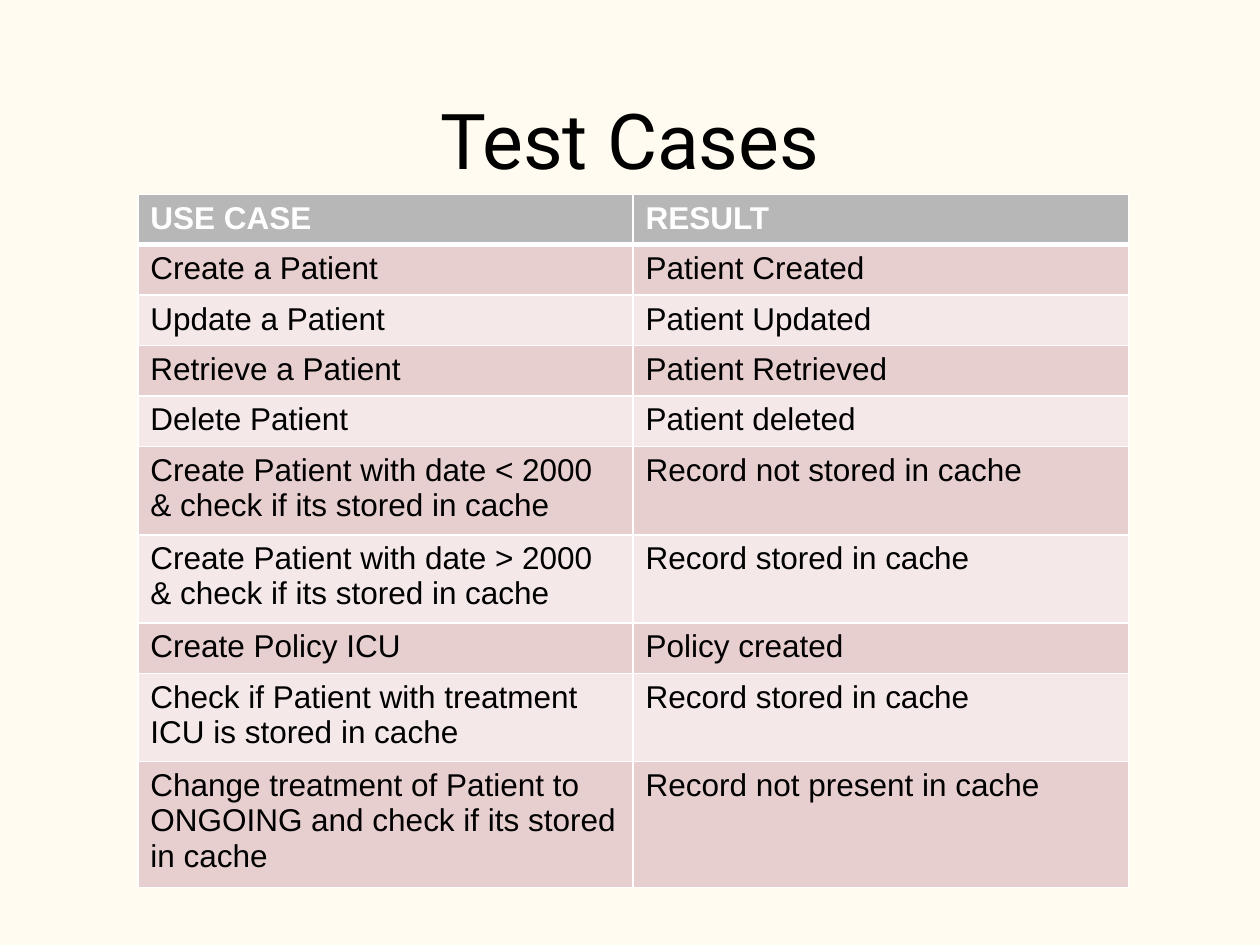
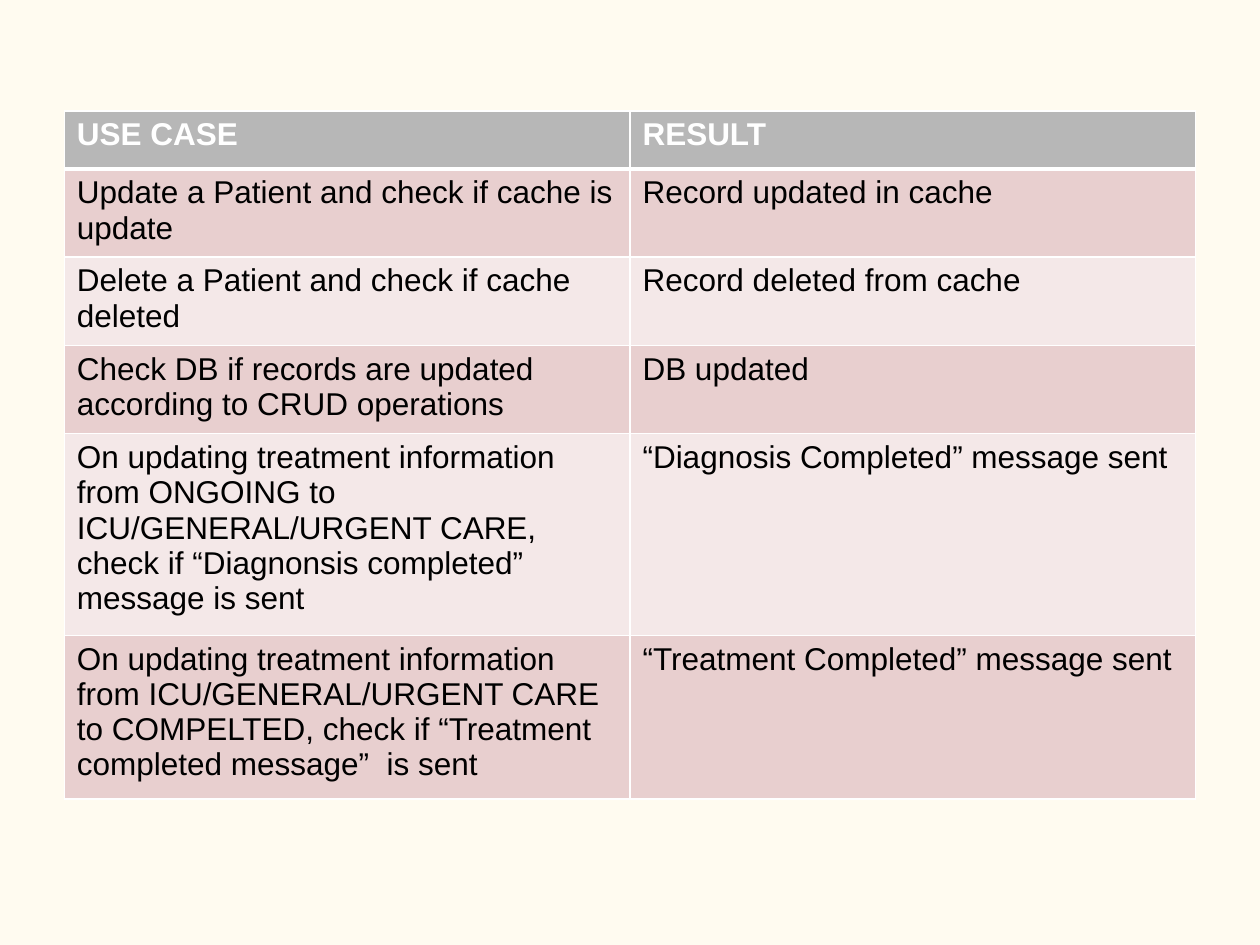
from dataclasses import dataclass

from lxml.etree import SubElement
from pptx import Presentation
from pptx.dml.color import RGBColor
from pptx.enum.text import MSO_ANCHOR, PP_ALIGN
from pptx.oxml.ns import qn
from pptx.util import Pt


@dataclass(frozen=True)
class Theme:
    background: str = "FFFBF0"
    ink: str = "000000"
    white: str = "FFFFFF"
    header_fill: str = "B7B7B7"
    bands: tuple = ("E8CFCF", "F4E8E8")
    title_font: str = "Roboto"
    body_font: str = "Arial"
    title_size: int = 44
    body_size: int = 18
    rule: int = 1
    header_rule: int = 3


theme = Theme()


def add_span(para, text, font, size, colour, bold=False):
    span = para.add_run()
    span.text = text
    span.font.name = font
    span.font.size = Pt(size)
    span.font.bold = bold
    span.font.color.rgb = RGBColor.from_string(colour)


def add_border(cell, side, width):
    properties = cell._tc.get_or_add_tcPr()
    line = SubElement(properties, qn(f"a:ln{side}"), w=str(Pt(width)))
    fill = SubElement(line, qn("a:solidFill"))
    SubElement(fill, qn("a:srgbClr"), val=theme.white)


# Slide content: title, table corner, column width, row heights and rows
header = ("USE CASE", "RESULT")
one_line, two_lines, three_lines = 28, 49, 70
slides = [
    {
        "title": "Test Cases",
        "corner": (78.75, 111),
        "column_width": 283,
        "heights": [one_line] * 5 + [two_lines] * 2 + [one_line, two_lines, three_lines],
        "rows": [
            ("Create a Patient", "Patient Created"),
            ("Update a Patient", "Patient Updated"),
            ("Retrieve a Patient", "Patient Retrieved"),
            ("Delete Patient", "Patient deleted"),
            ("Create Patient with date < 2000 & check if its stored in cache",
             "Record not stored in cache"),
            ("Create Patient with date > 2000 & check if its stored in cache",
             "Record stored in cache"),
            ("Create Policy ICU", "Policy created"),
            ("Check if Patient with treatment ICU is stored in cache",
             "Record stored in cache"),
            ("Change treatment of Patient to ONGOING and check if its stored in cache",
             "Record not present in cache"),
        ],
    },
    {
        "title": None,
        "corner": (36.75, 63.5),
        "column_width": 323.25,
        "heights": [33] * 5 + [57],
        "rows": [
            ("Update a Patient and check if cache is update", "Record updated in cache"),
            ("Delete a Patient and check if cache deleted", "Record deleted from cache"),
            ("Check DB if records are updated according to CRUD operations", "DB updated"),
            ("On updating treatment information from ONGOING to "
             "ICU/GENERAL/URGENT CARE, check if “Diagnonsis completed” message is sent",
             "“Diagnosis Completed” message sent"),
            ("On updating treatment information from ICU/GENERAL/URGENT CARE "
             "to COMPELTED, check if “Treatment completed message”  is sent",
             "“Treatment Completed” message sent"),
        ],
    },
]

deck = Presentation()
deck.slide_width, deck.slide_height = Pt(720), Pt(540)

for content in slides:
    page = deck.slides.add_slide(deck.slide_layouts[6])
    page.background.fill.solid()
    page.background.fill.fore_color.rgb = RGBColor.from_string(theme.background)

    # Title
    if content["title"]:
        box = page.shapes.add_textbox(Pt(24.5), Pt(47), Pt(671), Pt(64))
        box.text_frame.word_wrap = True
        box.text_frame.vertical_anchor = MSO_ANCHOR.MIDDLE
        para = box.text_frame.paragraphs[0]
        para.alignment = PP_ALIGN.CENTER
        add_span(para, content["title"], theme.title_font, theme.title_size, theme.ink)

    # Table frame
    rows = [header] + content["rows"]
    left, top = content["corner"]
    table = page.shapes.add_table(
        len(rows), len(header), Pt(left), Pt(top),
        Pt(content["column_width"] * len(header)), Pt(sum(content["heights"])),
    ).table
    for column in table.columns:
        column.width = Pt(content["column_width"])

    # Cells: a header row, then alternating bands
    for number, texts in enumerate(rows):
        table.rows[number].height = Pt(content["heights"][number])
        is_header = number == 0
        fill = theme.header_fill if is_header else theme.bands[(number - 1) % 2]
        colour = theme.white if is_header else theme.ink
        top_rule = theme.header_rule if number == 1 else theme.rule
        bottom_rule = theme.header_rule if is_header else theme.rule
        for cell, text in zip(table.rows[number].cells, texts):
            for side, width in zip("LRTB", (theme.rule, theme.rule, top_rule, bottom_rule)):
                add_border(cell, side, width)
            cell.fill.solid()
            cell.fill.fore_color.rgb = RGBColor.from_string(fill)
            add_span(cell.text_frame.paragraphs[0], text, theme.body_font,
                     theme.body_size, colour, bold=is_header)

deck.save("out.pptx")
